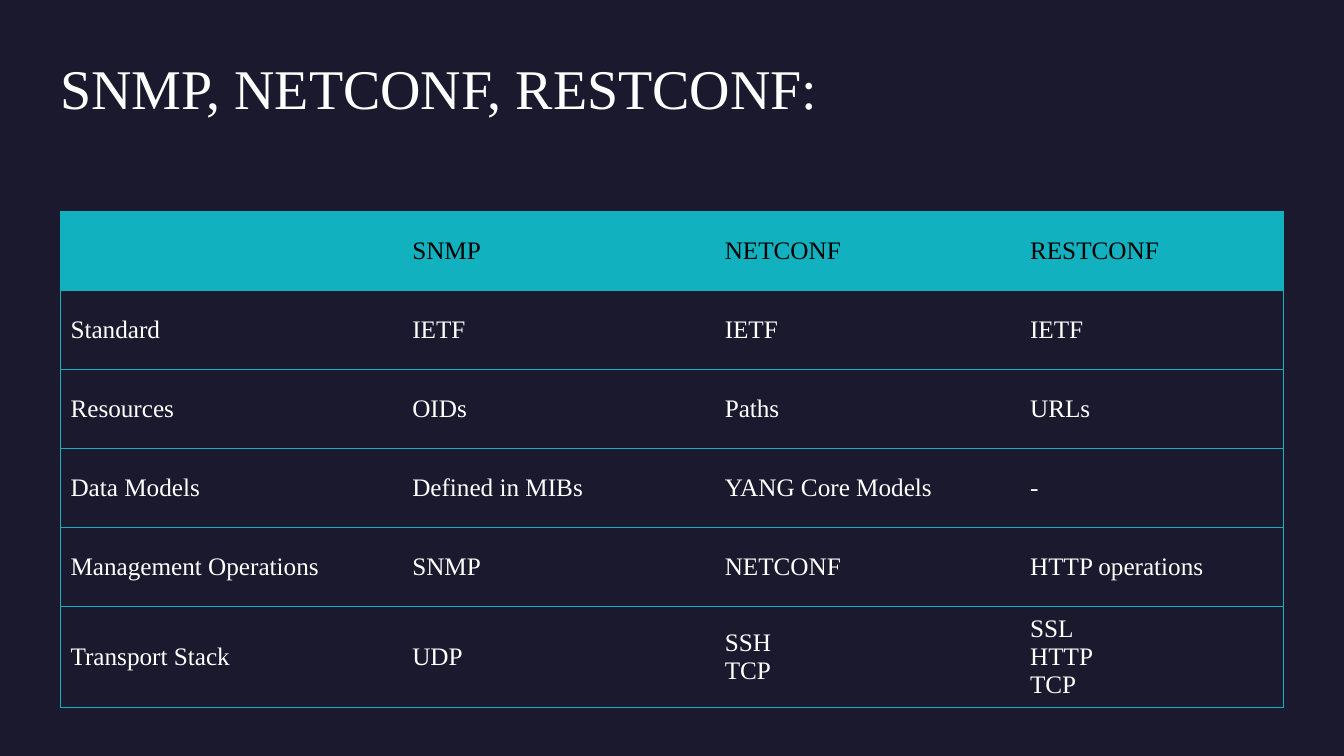
import pptx
import pptx.dml.color
import pptx.enum.text
import pptx.oxml.ns
import pptx.util
from lxml import etree

Pt = pptx.util.Pt
ANCHOR = pptx.enum.text.MSO_ANCHOR

COLORS = {"background": "1B192E", "accent": "12B1BF", "light": "FFFFFF", "dark": "000000"}
FONT = "Times New Roman"
LEFT = 43.2
COLUMN_WIDTHS = [244.1, 223.2, 218.1, 188]
ROW_HEIGHT = 56.4
PROTOCOLS = [
    ["", "SNMP", "NETCONF", "RESTCONF"],
    ["Standard", "IETF", "IETF", "IETF"],
    ["Resources", "OIDs", "Paths", "URLs"],
    ["Data Models", "Defined in MIBs", "YANG Core Models", "-"],
    ["Management Operations", "SNMP", "NETCONF", "HTTP operations"],
    ["Transport Stack", "UDP", "SSH\nTCP", "SSL\nHTTP\nTCP"],
]


def rgb(name):
    return pptx.dml.color.RGBColor.from_string(COLORS[name])


def write(frame, text, size=18, color="light", spacing=None):
    """Fill a text frame, one paragraph for each line of text."""
    frame.text = text
    for paragraph in frame.paragraphs:
        paragraph.line_spacing = spacing
        paragraph.font.size = Pt(size)
        for run in paragraph.runs:
            run.font.size = Pt(size)
            run.font.name = FONT
            run.font.color.rgb = rgb(color)


def add_title(slide, text):
    box = slide.shapes.add_textbox(Pt(LEFT), Pt(43.9), Pt(sum(COLUMN_WIDTHS)), Pt(93.6))
    frame = box.text_frame
    frame.word_wrap = True
    frame.vertical_anchor = ANCHOR.TOP
    frame.margin_left = frame.margin_right = frame.margin_top = frame.margin_bottom = 0
    write(frame, text, size=40, spacing=0.9)


def set_borders(cell, visible):
    """Draw the visible sides (letters of LRTB) and clear the others."""
    properties = cell._tc.get_or_add_tcPr()
    qn = pptx.oxml.ns.qn
    for side in "LRTB":
        line = etree.SubElement(properties, qn(f"a:ln{side}"), w=str(Pt(0.5)))
        if side in visible:
            fill = etree.SubElement(line, qn("a:solidFill"))
            etree.SubElement(fill, qn("a:srgbClr"), val=COLORS["accent"])
        else:
            etree.SubElement(line, qn("a:noFill"))


def add_protocol_table(slide, rows):
    last_column = len(COLUMN_WIDTHS) - 1
    table = slide.shapes.add_table(
        len(rows), len(COLUMN_WIDTHS), Pt(LEFT), Pt(151.2),
        Pt(sum(COLUMN_WIDTHS)), Pt(ROW_HEIGHT * len(rows)),
    ).table
    table.first_row = table.horz_banding = False
    for column, width in zip(table.columns, COLUMN_WIDTHS):
        column.width = Pt(width)
    for r, values in enumerate(rows):
        table.rows[r].height = Pt(ROW_HEIGHT)
        for c, value in enumerate(values):
            cell = table.cell(r, c)
            cell.vertical_anchor = ANCHOR.MIDDLE
            write(cell.text_frame, value, color="light" if r else "dark")
            set_borders(cell, "TB" + "L" * (c == 0) + "R" * (c == last_column))
            if r:
                cell.fill.background()
            else:
                cell.fill.solid()
                cell.fill.fore_color.rgb = rgb("accent")


def main():
    deck = pptx.Presentation()
    deck.slide_width, deck.slide_height = Pt(960), Pt(540)
    slide = deck.slides.add_slide(deck.slide_layouts[6])
    slide.background.fill.solid()
    slide.background.fill.fore_color.rgb = rgb("background")
    add_title(slide, "SNMP, NETCONF, RESTCONF:")
    add_protocol_table(slide, PROTOCOLS)
    deck.save("out.pptx")


if __name__ == "__main__":
    main()
